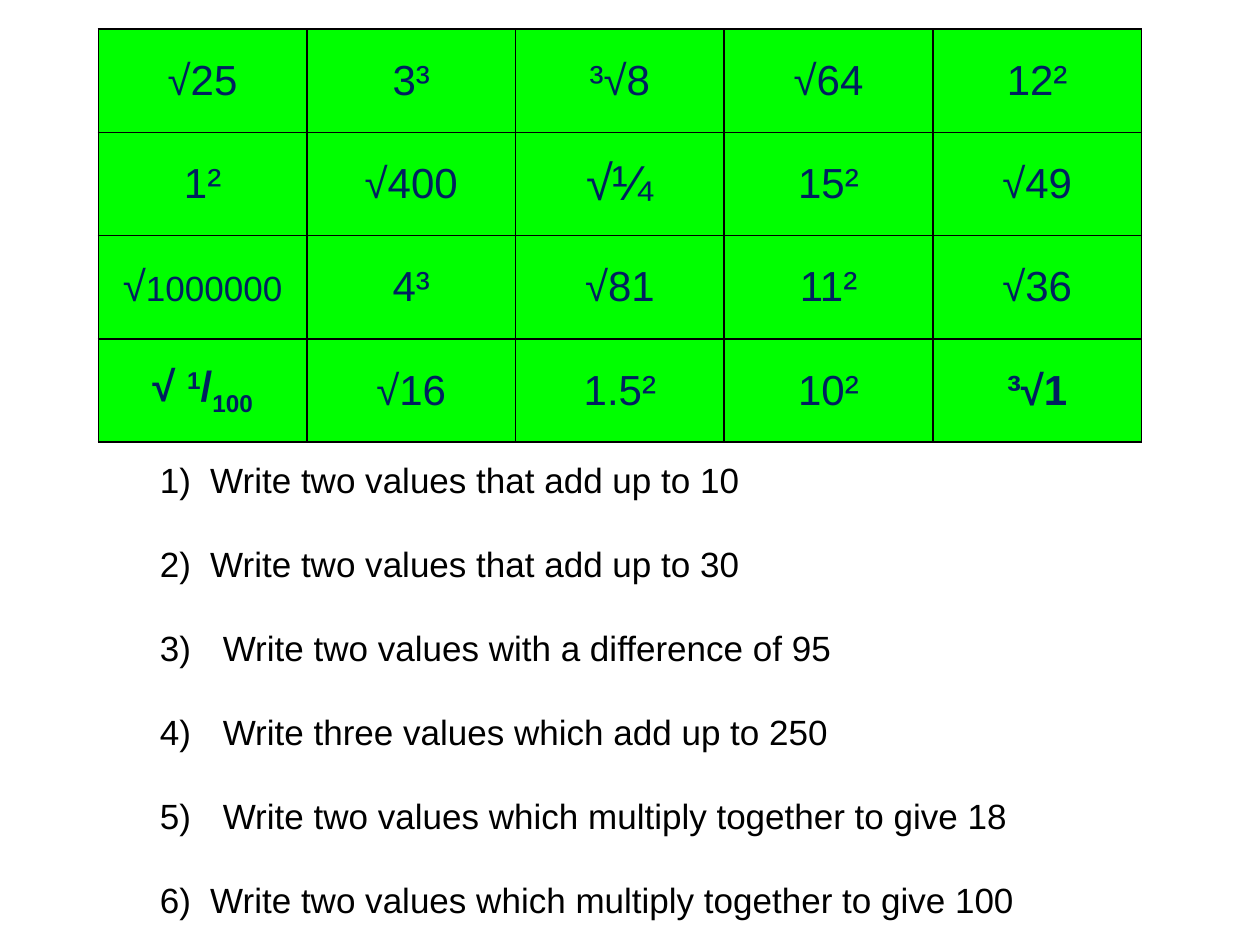
import pptx
import pptx.util
import pptx.dml.color
import pptx.enum.text
import pptx.oxml
import pptx.oxml.ns
import lxml.etree

Inches, Pt = pptx.util.Inches, pptx.util.Pt
FONT, NAVY, GREEN, BLACK = "Arial", "002060", "00FF00", "000000"

# A cell is a plain string, or a list of (text, format) runs
ROOT_MILLION = [("√", {}), ("1000000", {"size": 20})]
ROOT_HUNDREDTH = [("√ ", {"bold": True}), ("1", {"bold": True, "base": 30}),
                  ("/", {"bold": True}), ("100", {"bold": True, "base": -25})]
VALUES = [
    ["√25", "3³", "³√8", "√64", "12²"],
    ["1²", "√400", [("√¼", {"size": 28})], "15²", "√49"],
    [ROOT_MILLION, "4³", "√81", "11²", "√36"],
    [ROOT_HUNDREDTH, "√16", "1.5²", "10²", [("³√1", {"bold": True})]],
]

# Question text and whether its number is automatic
QUESTIONS = [
    ("Write two values that add up to 10", False),
    ("Write two values that add up to 30", False),
    ("Write two values with a difference of 95", True),
    ("Write three values which add up to 250", True),
    ("Write two values which multiply together to give 18", True),
    ("Write two values which multiply together to give 100", False),
]


def rgb(value):
    return pptx.dml.color.RGBColor.from_string(value)


def format_run(run, color, size=24, bold=False, base=0):
    run.font.name = FONT
    run.font.size = Pt(size)
    run.font.bold = bold
    run.font.color.rgb = rgb(color)
    if base:
        run.font._element.set("baseline", str(base * 1000))


def add_borders(cell):
    properties = cell._tc.get_or_add_tcPr()
    for position, side in enumerate(("lnL", "lnR", "lnT", "lnB")):
        border = pptx.oxml.parse_xml(
            f'<a:{side} {pptx.oxml.ns.nsdecls("a")} w="12700"><a:solidFill>'
            f'<a:srgbClr val="{BLACK}"/></a:solidFill></a:{side}>')
        properties.insert(position, border)


def fill_cell(cell, content):
    cell.fill.solid()
    cell.fill.fore_color.rgb = rgb(GREEN)
    cell.vertical_anchor = pptx.enum.text.MSO_ANCHOR.MIDDLE
    add_borders(cell)
    paragraph = cell.text_frame.paragraphs[0]
    paragraph.alignment = pptx.enum.text.PP_ALIGN.CENTER
    runs = [(content, {})] if isinstance(content, str) else content
    for text, style in runs:
        run = paragraph.add_run()
        run.text = text
        format_run(run, NAVY, **style)


def add_value_grid(slide):
    grid = slide.shapes.add_table(
        len(VALUES), len(VALUES[0]), Inches(0.78), Inches(0.23),
        Inches(8.28), Inches(3.28)).table
    for row, contents in zip(grid.rows, VALUES):
        for cell, content in zip(row.cells, contents):
            fill_cell(cell, content)


def number_question(paragraph, number, automatic):
    indent = Inches(0.5 if automatic else 0.4)
    properties = paragraph._p.get_or_add_pPr()
    properties.set("marL", str(indent))
    properties.set("indent", str(-indent))
    if automatic:
        lxml.etree.SubElement(
            properties, pptx.oxml.ns.qn("a:buFont"), typeface=FONT)
        lxml.etree.SubElement(
            properties, pptx.oxml.ns.qn("a:buAutoNum"),
            type="arabicParenR", startAt=str(number))


def add_questions(slide):
    frame = slide.shapes.add_textbox(
        Inches(1.17), Inches(3.59), Inches(7.73), Inches(3.8)).text_frame
    frame.word_wrap = True
    for number, (question, automatic) in enumerate(QUESTIONS, 1):
        first = number == 1
        paragraph = frame.paragraphs[0] if first else frame.add_paragraph()
        paragraph.text = question if automatic else f"{number})\t{question}"
        paragraph.line_spacing = Pt(24)
        paragraph.space_before = Pt(0 if first else 24)
        number_question(paragraph, number, automatic)
        format_run(paragraph.runs[0], BLACK, size=20)


def main():
    deck = pptx.Presentation()
    deck.slide_width, deck.slide_height = Inches(10), Inches(7.5)
    slide = deck.slides.add_slide(deck.slide_layouts[6])
    add_value_grid(slide)
    add_questions(slide)
    deck.save("out.pptx")


main()
